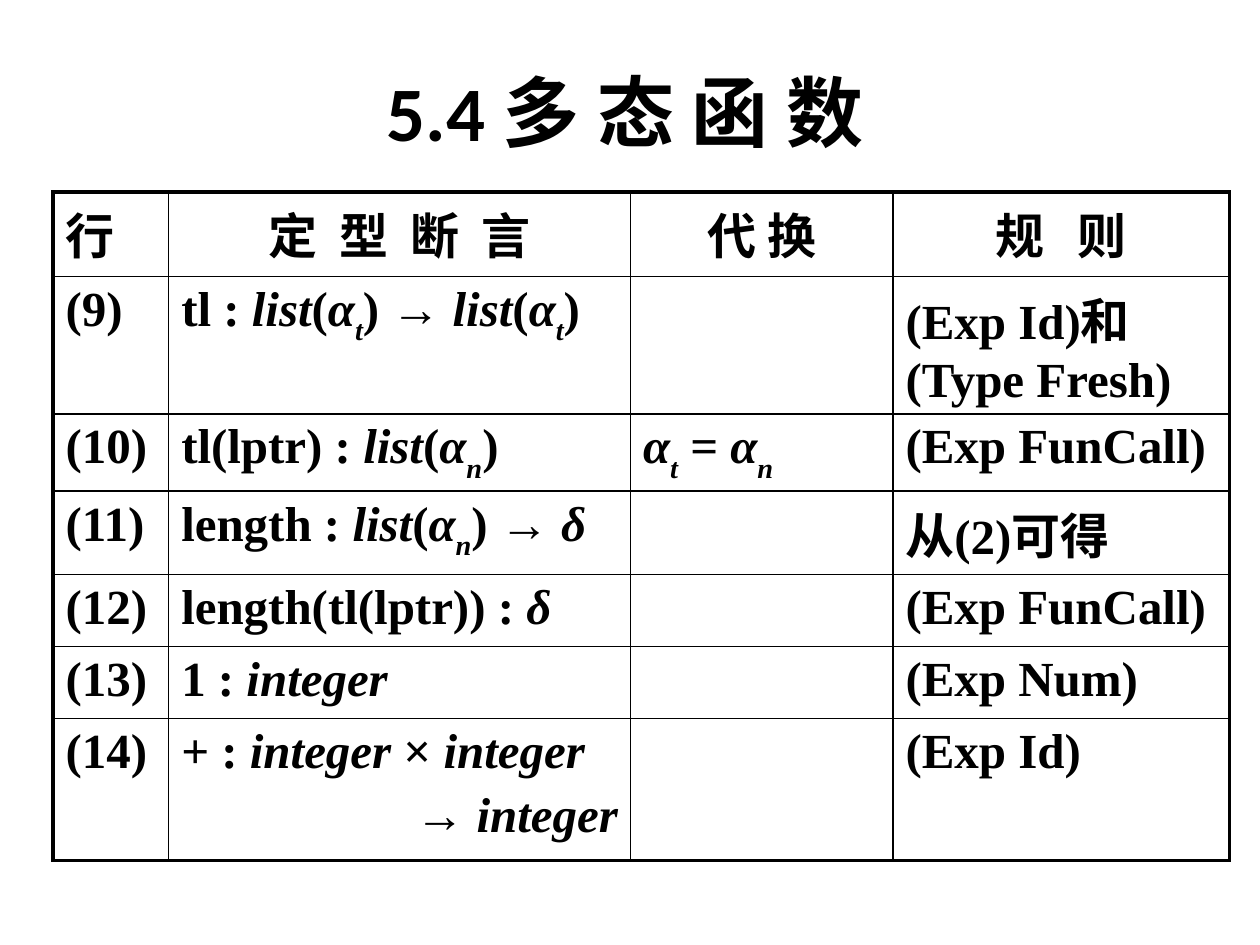
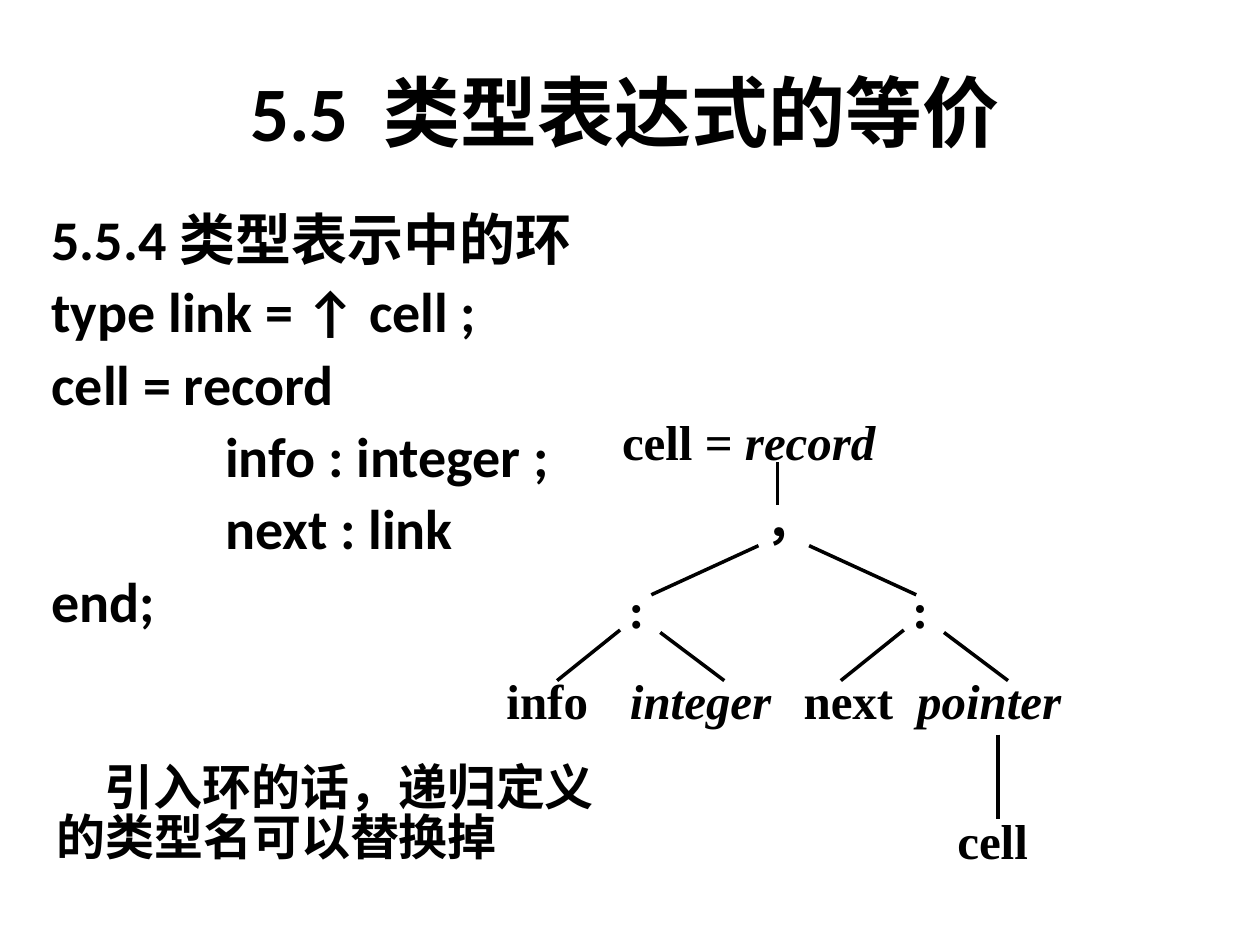
from dataclasses import dataclass

from lxml.etree import SubElement
from pptx import Presentation
from pptx.dml.color import RGBColor
from pptx.enum.shapes import MSO_CONNECTOR
from pptx.enum.text import MSO_ANCHOR, MSO_AUTO_SIZE, PP_ALIGN
from pptx.oxml.ns import qn
from pptx.util import Cm, Pt


@dataclass(frozen=True)
class Theme:
    """Colours, fonts, type sizes and line widths shared by the slides."""

    ink: RGBColor = RGBColor(0, 0, 0)
    heading_font: str = "Calibri"
    formula_font: str = "Times New Roman"
    chinese_font: str = "Noto Sans CJK SC"
    title_size: int = 44
    code_size: int = 32
    text_size: int = 28
    tree_line: float = 2
    grid_line: float = 1
    frame_line: float = 2.25


THEME = Theme()
TITLE_BOX = (0.64, 0.64, 23.93, 3.18)
BOTTOM = 2

TABLE_LEFT, TABLE_TOP = 1.07, 3.87
COLUMN_WIDTHS = (2.33, 9.31, 5.29, 6.78)
ROW_HEIGHTS = (1.7, 2.76, 1.55, 1.67, 1.45, 1.45, 2.86)
HEADINGS = (("行", 0), ("定 型 断 言", 3.1), ("代 换", 0), ("规 则", 6.3))
DERIVATION = (
    ("(9)", "tl : *list*(*α_t*) → *list*(*α_t*)", "", "(Exp Id)和(Type Fresh)"),
    ("(10)", "tl(lptr) : *list*(*α_n*)", "*α_t* = *α_n*", "(Exp FunCall)"),
    ("(11)", "length : *list*(*α_n*) → *δ*", "", "从(2)可得"),
    ("(12)", "length(tl(lptr)) : *δ*", "", "(Exp FunCall)"),
    ("(13)", "1 : *integer*", "", "(Exp Num)"),
    ("(14)", "+ : *integer* × *integer*", "", "(Exp Id)"),
)

RECORD_CODE = (
    ("5.5.4 类型表示中的环", 0),
    ("type link = ↑ cell ;", 0),
    ("cell = record", 0),
    ("info : integer ;", 3.5),
    ("next : link", 3.5),
    ("end;", 0),
)
FIELD_LEFTS = (12.42, 18.14)
TREE_LABELS = (
    ("cell = *record*", 12.29, 8.26, 5.84),
    ("，", 15.19, 9.86, 1.78),
    ("info", 9.96, 13.49, 2.54),
    ("*integer*", 12.45, 13.49, 3.43),
    ("next", 15.95, 13.49, 2.54),
    ("*pointer*", 18.24, 13.49, 4.62),
    ("cell", 19.05, 16.31, 2.31),
)
TREE_LINES = (
    ((15.67, 9.32), (15.67, 10.19)),
    ((15.29, 11), (13.13, 11.99)),
    ((16.31, 11), (18.47, 11.99)),
    ((20.12, 14.81), (20.12, 16.51)),
)


def apply_format(target, values):
    """Set every attribute named in values on target."""
    for name, value in values.items():
        setattr(target, name, value)


def write(paragraph, text, size, font=THEME.formula_font, spacing=0):
    """Add text, with *italic* parts and _subscripts inside them."""
    for index, part in enumerate(text.split("*")):
        for level, piece in enumerate(part.split("_")):
            if not piece:
                continue
            run = paragraph.add_run()
            run.text = piece
            apply_format(run.font, {"name": font, "size": Pt(size), "bold": True,
                                    "italic": index % 2 == 1})
            run.font.color.rgb = THEME.ink
            properties = run.font._element
            SubElement(properties, qn("a:ea")).set("typeface", THEME.chinese_font)
            if level:
                properties.set("baseline", "-30000")
            if spacing:
                properties.set("spc", str(round(spacing * 100)))


def place(shape, left, top, width, height):
    """Put a shape at a position and size in centimetres."""
    apply_format(shape, {"left": Cm(left), "top": Cm(top),
                         "width": Cm(width), "height": Cm(height)})


def add_titled_slide(presentation, number, title, gap=0):
    """Add a title-only slide whose title is a section number and a name."""
    slide = presentation.slides.add_slide(presentation.slide_layouts[5])
    place(slide.shapes.title, *TITLE_BOX)
    frame = slide.shapes.title.text_frame
    apply_format(frame, {"vertical_anchor": MSO_ANCHOR.MIDDLE, "word_wrap": True,
                         "auto_size": MSO_AUTO_SIZE.NONE})
    paragraph = frame.paragraphs[0]
    paragraph.alignment = PP_ALIGN.CENTER
    write(paragraph, number, THEME.title_size, THEME.heading_font)
    write(paragraph, " ", THEME.title_size, THEME.heading_font, gap)
    write(paragraph, title, THEME.title_size, THEME.chinese_font)
    return slide


def add_text_frame(slide, left, top, width, height, **values):
    """Add a wrapping text box and return its shape."""
    shape = slide.shapes.add_textbox(Cm(left), Cm(top), Cm(width), Cm(height))
    apply_format(shape.text_frame, {"word_wrap": True, **values})
    return shape


def add_paragraph(frame, index):
    """Return the first paragraph of a frame, or a new one after it."""
    return frame.add_paragraph() if index else frame.paragraphs[0]


def draw_borders(cell, outer_sides):
    """Draw the four cell borders, heavier on the outer sides."""
    properties = cell._tc.get_or_add_tcPr()
    for side in "LRTB":
        width = THEME.frame_line if side in outer_sides else THEME.grid_line
        line = SubElement(properties, qn(f"a:ln{side}"), w=str(Pt(width)))
        fill = SubElement(line, qn("a:solidFill"))
        SubElement(fill, qn("a:srgbClr"), val=str(THEME.ink))
    cell.fill.background()


def add_derivation_table(slide):
    """Add the table of typing assertions, substitutions and rules."""
    table = slide.shapes.add_table(
        len(ROW_HEIGHTS), len(COLUMN_WIDTHS), Cm(TABLE_LEFT), Cm(TABLE_TOP),
        Cm(sum(COLUMN_WIDTHS)), Cm(sum(ROW_HEIGHTS))).table
    apply_format(table, {"first_row": False, "horz_banding": False})
    for column, width in zip(table.columns, COLUMN_WIDTHS):
        column.width = Cm(width)
    last_row, last_column = len(ROW_HEIGHTS) - 1, len(COLUMN_WIDTHS) - 1
    for row, height in enumerate(ROW_HEIGHTS):
        table.rows[row].height = Cm(height)
        for column in range(len(COLUMN_WIDTHS)):
            outer = {"L": column == 0, "R": column == last_column,
                     "T": row == 0, "B": row == last_row}
            draw_borders(table.cell(row, column),
                         [side for side, is_outer in outer.items() if is_outer])
    for column, (heading, spacing) in enumerate(HEADINGS):
        paragraph = table.cell(0, column).text_frame.paragraphs[0]
        paragraph.alignment = PP_ALIGN.CENTER if column else PP_ALIGN.LEFT
        write(paragraph, heading, THEME.text_size, THEME.chinese_font, spacing)
    for row, texts in enumerate(DERIVATION, start=1):
        for column, text in enumerate(texts):
            paragraph = table.cell(row, column).text_frame.paragraphs[0]
            write(paragraph, text, THEME.text_size)
    result = table.cell(last_row, 1).text_frame.add_paragraph()
    apply_format(result, {"alignment": PP_ALIGN.RIGHT, "space_before": Pt(5.6)})
    write(result, "→ *integer*", THEME.text_size)


def add_record_code(slide):
    """Add the section heading and the recursive record declaration."""
    frame = add_text_frame(slide, 0.79, 3.99, 23.8, 14).text_frame
    for index, (text, indent) in enumerate(RECORD_CODE):
        paragraph = add_paragraph(frame, index)
        if index:
            paragraph.space_before = Pt(3)
        if indent:
            paragraph._p.get_or_add_pPr().set("marL", str(Cm(indent)))
        write(paragraph, text, THEME.code_size, THEME.heading_font)


def add_tree_label(slide, text, left, top, width):
    """Add one node of the type tree."""
    shape = add_text_frame(slide, left, top, width, 1.09, margin_left=Cm(0.25),
                           margin_right=Cm(0.05), margin_top=Cm(0.03),
                           margin_bottom=Cm(0.03))
    write(shape.text_frame.paragraphs[0], text, THEME.text_size)
    return shape


def add_tree_line(slide, start, end):
    """Add one branch of the type tree."""
    line = slide.shapes.add_connector(
        MSO_CONNECTOR.STRAIGHT, *(Cm(value) for value in (*start, *end)))
    line.line.width = Pt(THEME.tree_line)
    line.line.color.rgb = THEME.ink
    SubElement(line._element.spPr, qn("a:effectLst"))
    return line


def add_type_tree(slide):
    """Add the tree of the cell type with its two fields."""
    for label in TREE_LABELS:
        add_tree_label(slide, *label)
    for start, end in TREE_LINES:
        add_tree_line(slide, start, end)
    for left in FIELD_LEFTS:
        colon = add_tree_label(slide, ":", left, 11.66, 1.78)
        add_tree_line(slide, (left + 0.08, 12.7), (left - 1.19, 13.72))
        type_line = add_tree_line(slide, (left + 0.91, 12.7), (left + 2.18, 13.72))
        type_line.begin_connect(colon, BOTTOM)


def add_cycle_remark(slide):
    """Add the remark on replacing recursive type names."""
    frame = add_text_frame(slide, 0.89, 14.94, 11.81, 3,
                           vertical_anchor=MSO_ANCHOR.MIDDLE).text_frame
    for index, text in enumerate(("引入环的话，递归定义", "的类型名可以替换掉")):
        paragraph = add_paragraph(frame, index)
        paragraph.line_spacing = 0.85
        if index == 0:
            paragraph._p.get_or_add_pPr().set("indent", str(Cm(0.97)))
        write(paragraph, text, THEME.text_size)


def main():
    """Build and save the two slides."""
    presentation = Presentation()
    apply_format(presentation, {"slide_width": Cm(25.4), "slide_height": Cm(19.05)})
    add_derivation_table(add_titled_slide(presentation, "5.4", "多 态 函 数"))
    slide = add_titled_slide(presentation, "5.5", "类型表达式的等价", gap=10)
    add_record_code(slide)
    add_type_tree(slide)
    add_cycle_remark(slide)
    presentation.save("out.pptx")


if __name__ == "__main__":
    main()
